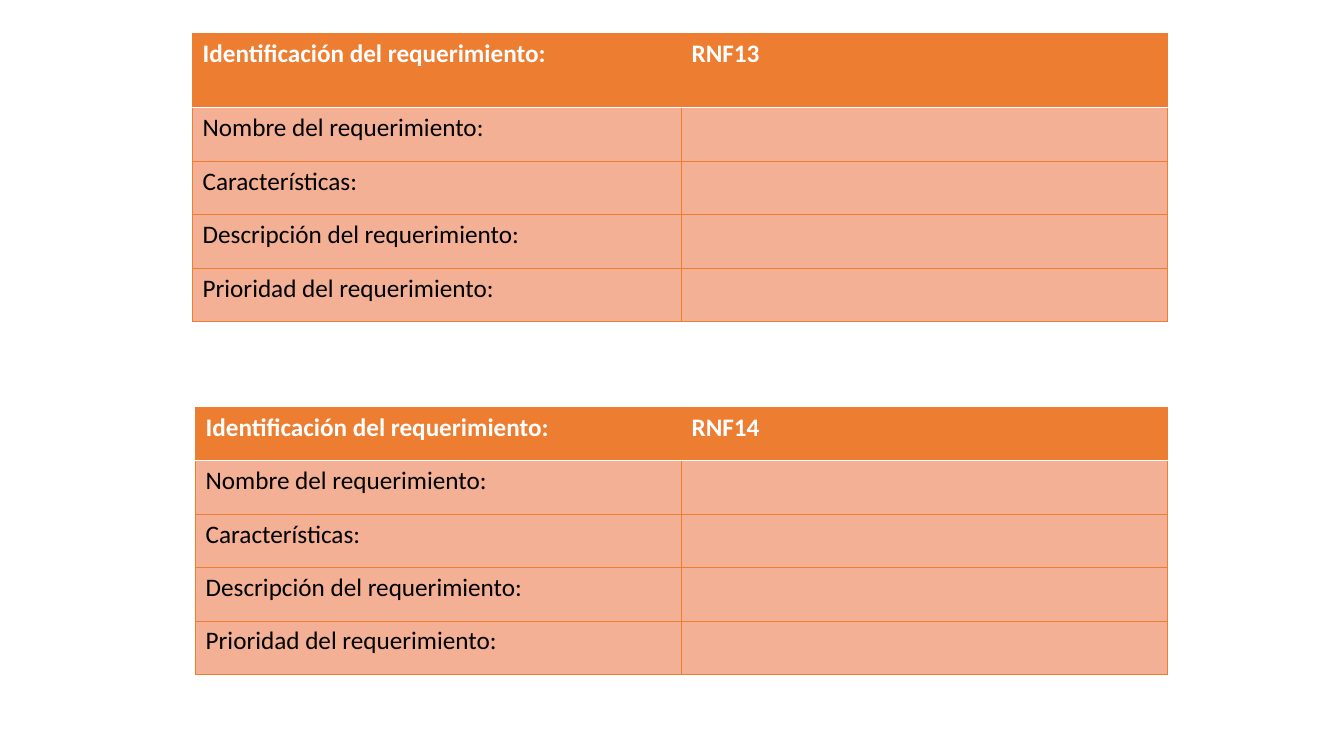
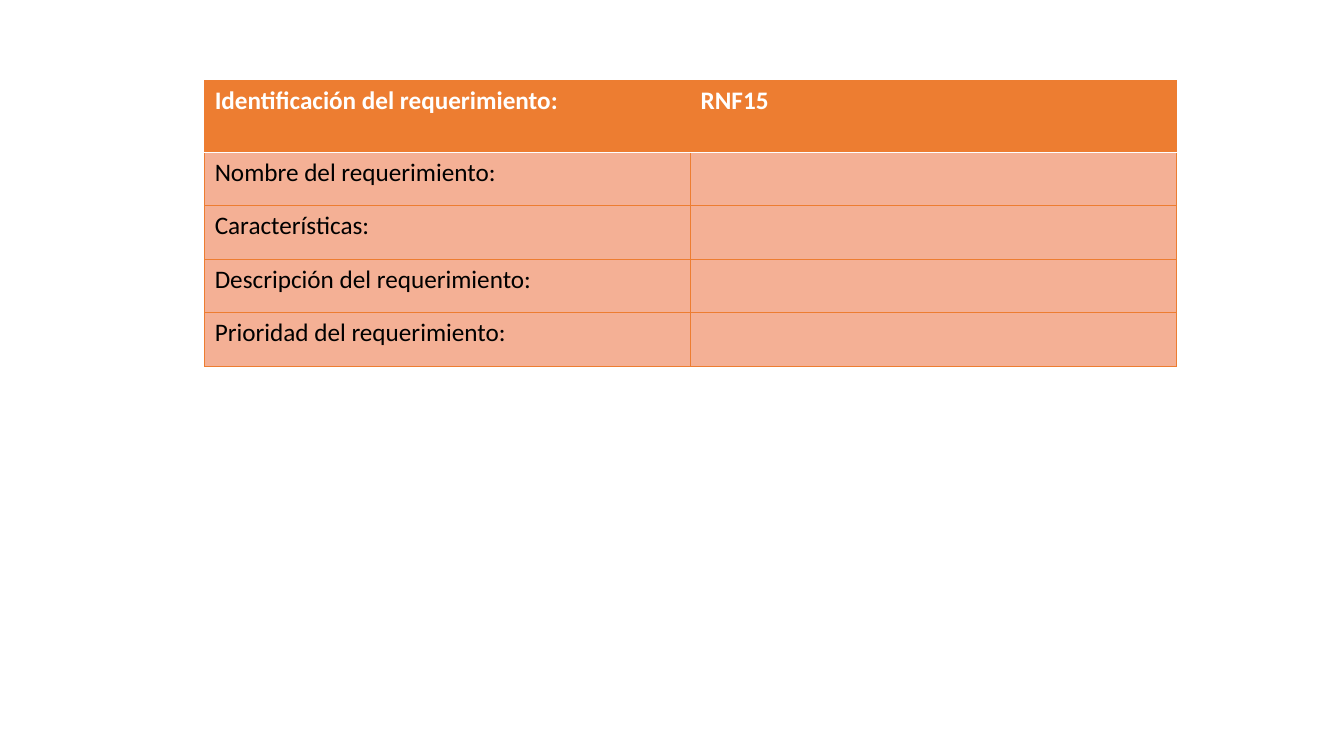
from lxml.etree import SubElement
from pptx import Presentation
from pptx.dml.color import RGBColor
from pptx.oxml.ns import qn
from pptx.util import Inches, Pt

ORANGE = RGBColor(0xED, 0x7D, 0x31)
PEACH = RGBColor(0xF4, 0xB0, 0x95)
WHITE = RGBColor(0xFF, 0xFF, 0xFF)
BLACK = RGBColor(0, 0, 0)
FONT, SIZE = "Calibri", Pt(18)

HEAD = "Identificación del requerimiento:"
FIELDS = [
    "Nombre del requerimiento:",
    "Características:",
    "Descripción del requerimiento:",
    "Prioridad del requerimiento:",
]
ROW, COL = 0.53, 4.82

# Per slide: code, left, top, first column width, header height
SLIDES = [
    [("RNF14", 1.94, 4.04, COL, ROW), ("RNF13", 1.91, 0.33, 4.85, 0.74)],
    [("RNF15", 2.03, 0.80, COL, 0.71)],
]


def edge(cell, side, color, width):
    """Draw one cell border; side is L, R, T or B."""
    line = SubElement(cell._tc.get_or_add_tcPr(), qn(f"a:ln{side}"), w=str(Pt(width)))
    fill = SubElement(line, qn("a:solidFill"))
    SubElement(fill, qn("a:srgbClr"), val=str(color))


def style(cell, text, row):
    head = row == 0
    white = {"B"} if head else {"T"} if row == 1 else set()
    for side in "LRTB":
        edge(cell, side, *((WHITE, 1) if side in white else (ORANGE, 0.5)))
    cell.fill.solid()
    cell.fill.fore_color.rgb = ORANGE if head else PEACH
    cell.text_frame.text = text
    font = cell.text_frame.paragraphs[0].font
    for run in cell.text_frame.paragraphs[0].runs:
        font = run.font
    font.name, font.size, font.bold = FONT, SIZE, head
    font.color.rgb = WHITE if head else BLACK


def add_form(slide, code, left, top, first, high):
    rows = [(HEAD, code)] + [(field, "") for field in FIELDS]
    widths = [first, COL]
    heights = [high] + [ROW] * len(FIELDS)
    box = [Inches(n) for n in (left, top, sum(widths), sum(heights))]
    table = slide.shapes.add_table(len(rows), len(widths), *box).table
    table.horz_banding = False
    for col, width in zip(table.columns, widths):
        col.width = Inches(width)
    for row, height in zip(table.rows, heights):
        row.height = Inches(height)
    for r, texts in enumerate(rows):
        for c, text in enumerate(texts):
            style(table.cell(r, c), text, r)


def main():
    deck = Presentation()
    deck.slide_width, deck.slide_height = Inches(13.33), Inches(7.5)
    for forms in SLIDES:
        slide = deck.slides.add_slide(deck.slide_layouts[6])
        for form in forms:
            add_form(slide, *form)
    deck.save("out.pptx")


if __name__ == "__main__":
    main()
